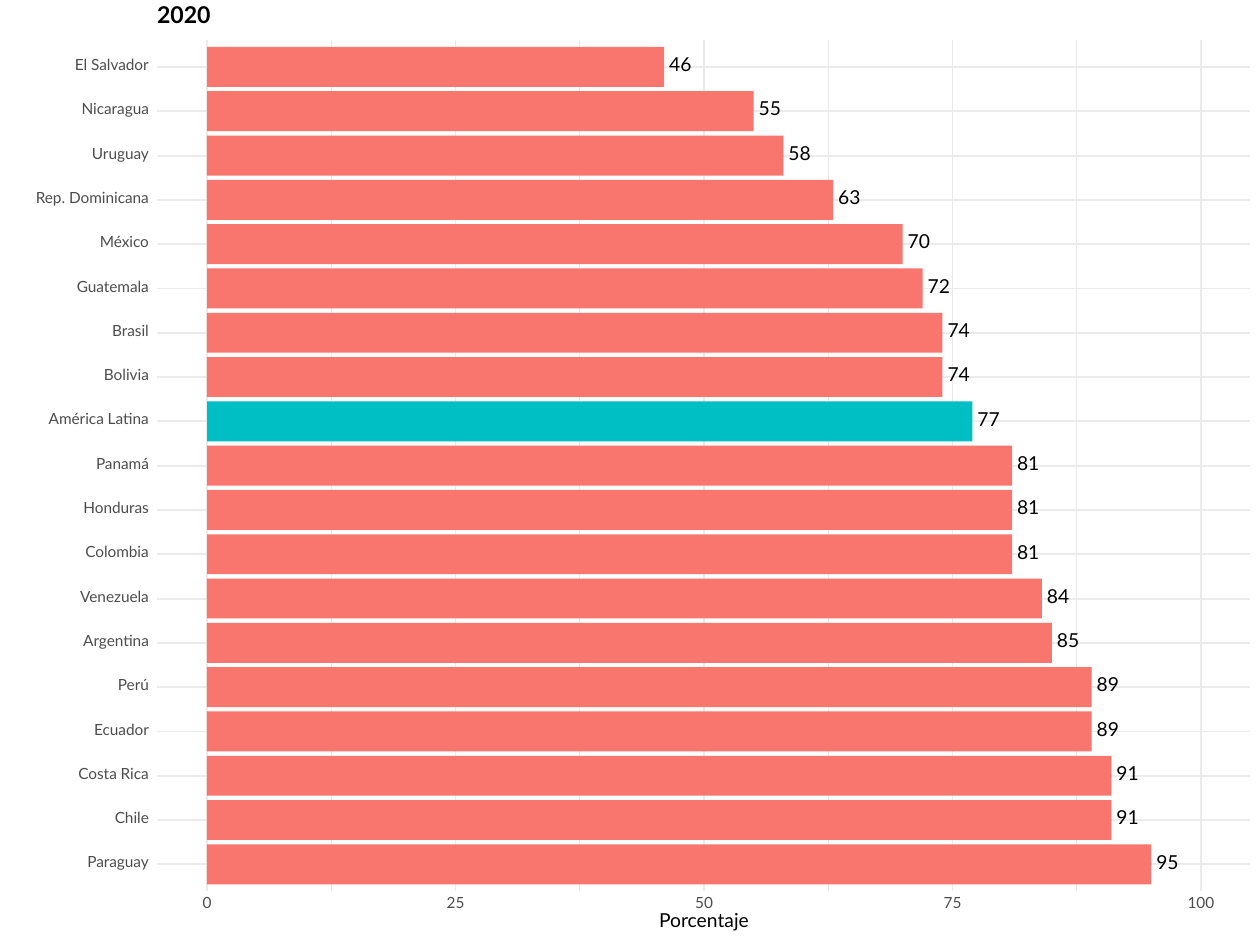
"""Builds a slide with the 2020 percentage by country as horizontal bars."""
from lxml import etree
from pptx import Presentation, util as u
from pptx.dml.color import RGBColor
from pptx.enum import shapes, text
from pptx.oxml.ns import qn

ROWS = [
    ("El Salvador", 46, 77), ("Nicaragua", 55, 69), ("Uruguay", 58, 58),
    ("Rep. Dominicana", 63, 117), ("México", 70, 49), ("Guatemala", 72, 76),
    ("Brasil", 74, 39), ("Bolivia", 74, 47), ("América Latina", 77, 103),
    ("Panamá", 81, 57), ("Honduras", 81, 67), ("Colombia", 81, 66),
    ("Venezuela", 84, 72), ("Argentina", 85, 67), ("Perú", 89, 33),
    ("Ecuador", 89, 57), ("Costa Rica", 91, 73), ("Chile", 91, 35),
    ("Paraguay", 95, 64),
]
TICKS = [(0, 9), (25, 19), (50, 19), (75, 19), (100, 28)]
MINOR = [12.5, 37.5, 62.5, 87.5]
MEAN = "América Latina"
TITLE, AXIS = "2020", "Porcentaje"
FONT = "Lato"
BLACK, GREY, GRID, CORAL, TEAL = "000000", "4D4D4D", "EBEBEB", "F8766D", "00BFC4"

LEFT, RIGHT, TOP, BASE = 157, 1250, 40, 891
ZERO, UNIT = 207, 9.94
FIRST, STEP, BAR = 67, 44.3, 40
NAME_END, GAP = 149, 5
ALIGN = text.PP_ALIGN


def px(n):
    return u.Emu(round(n * 914400 / 126))


def color(code):
    return RGBColor.from_string(code)


def at_x(value):
    return ZERO + UNIT * value


def write(box, words, size, code, align, bold=False):
    frame = box.text_frame
    frame.text = words
    frame.word_wrap = False
    frame.auto_size = text.MSO_AUTO_SIZE.NONE
    frame.vertical_anchor = text.MSO_ANCHOR.MIDDLE
    frame.margin_left = frame.margin_right = 0
    frame.margin_top = frame.margin_bottom = 0
    para = frame.paragraphs[0]
    para.alignment = align
    para.line_spacing = u.Pt(size)
    font = para.runs[0].font
    font.name, font.size, font.bold = FONT, u.Pt(size), bold
    font.color.rgb = color(code)


def label(words, left, mid, wide, high, size, code, align):
    box = slide.shapes.add_textbox(px(left), px(mid - high / 2), px(wide), px(high))
    write(box, words, size, code, align)


def rule(x1, y1, x2, y2, weight):
    line = slide.shapes.add_connector(
        shapes.MSO_CONNECTOR.STRAIGHT, px(x1), px(y1), px(x2), px(y2))
    line.line.color.rgb = color(GRID)
    line.line.width = u.Pt(weight)
    etree.SubElement(line._element.spPr, qn("a:effectLst"))


deck = Presentation()
deck.slide_width, deck.slide_height = px(1260), px(945)
slide = deck.slides.add_slide(deck.slide_layouts[5])

title = slide.shapes.title
title.left, title.top, title.width, title.height = px(LEFT), px(9), px(55), px(16)
write(title, TITLE, 13.2, BLACK, ALIGN.LEFT, True)

mids = [FIRST + STEP * i for i in range(len(ROWS))]
for value in MINOR:
    rule(at_x(value), TOP, at_x(value), BASE, 0.53)
for mid in mids:
    rule(LEFT, mid, RIGHT, mid, 1.07)
for value, _ in TICKS:
    rule(at_x(value), TOP, at_x(value), BASE, 1.07)

for (name, value, wide), mid in zip(ROWS, mids):
    bar = slide.shapes.add_shape(
        shapes.MSO_SHAPE.RECTANGLE, px(ZERO), px(mid - BAR / 2), px(UNIT * value), px(BAR))
    bar.shadow.inherit = False
    bar.fill.solid()
    bar.fill.fore_color.rgb = color(TEAL if name == MEAN else CORAL)
    bar.line.fill.background()
    label(str(value), at_x(value) + GAP, mid - 1, 23, 14, 11, BLACK, ALIGN.LEFT)
    label(name, NAME_END - wide, mid - 1, wide, 12, 8.8, GREY, ALIGN.RIGHT)

for value, wide in TICKS:
    label(str(value), at_x(value) - wide / 2, 904, wide, 12, 8.8, GREY, ALIGN.CENTER)
label(AXIS, at_x(50) - 47, 922, 94, 18, 11, BLACK, ALIGN.CENTER)

deck.save("out.pptx")
